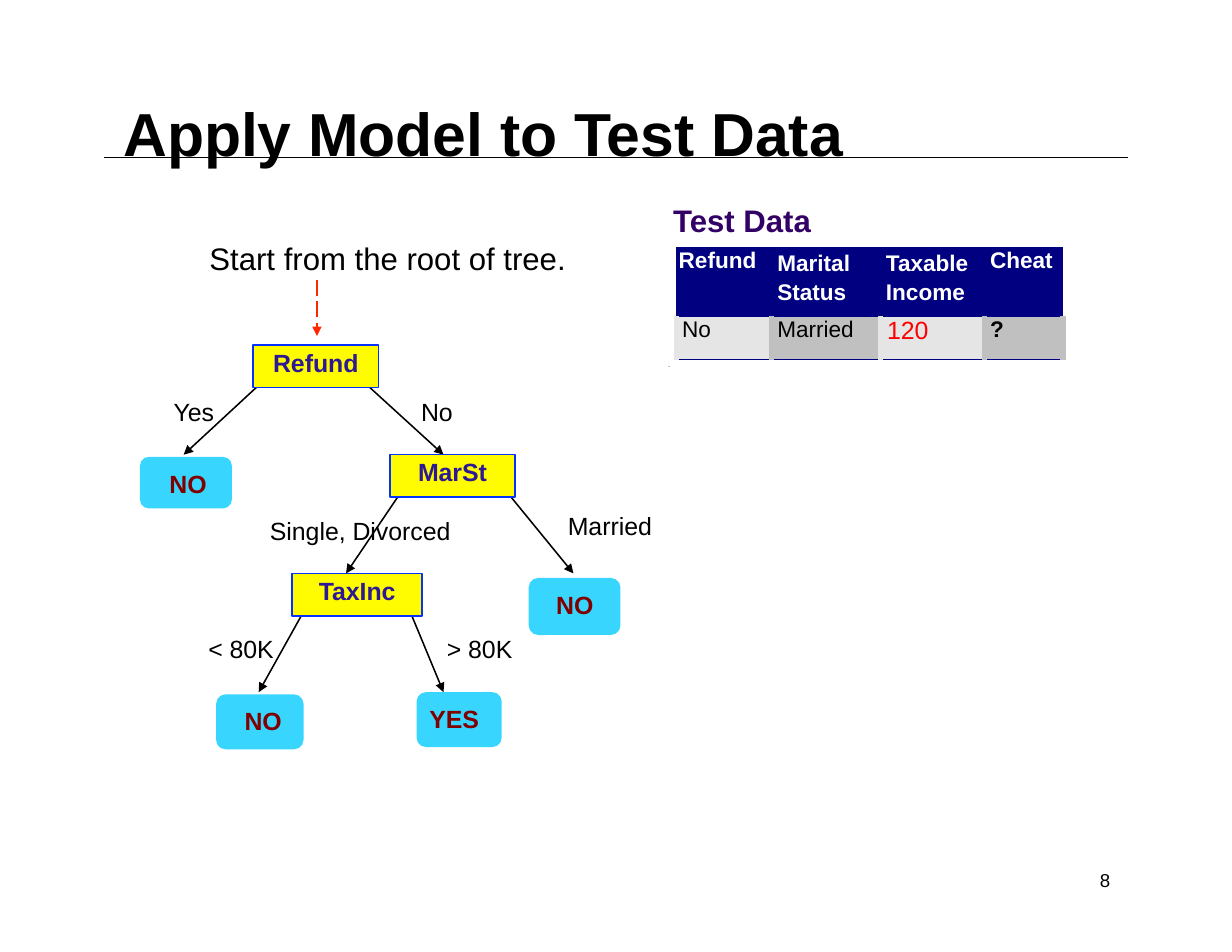
from dataclasses import dataclass

from lxml import etree
from pptx import Presentation
from pptx.dml.color import RGBColor
from pptx.enum.dml import MSO_LINE
from pptx.enum.shapes import MSO_CONNECTOR, MSO_SHAPE
from pptx.enum.text import MSO_ANCHOR, MSO_AUTO_SIZE, PP_ALIGN
from pptx.oxml.ns import qn
from pptx.util import Emu, Inches, Pt

STRAIGHT = MSO_CONNECTOR.STRAIGHT
RECTANGLE, ROUNDED = MSO_SHAPE.RECTANGLE, MSO_SHAPE.ROUNDED_RECTANGLE
LEFT, CENTER = PP_ALIGN.LEFT, PP_ALIGN.CENTER
TOP = MSO_ANCHOR.TOP
FONT = "Arial"
NO_STYLE = "{2D5ABB26-0587-4C30-8999-92F81FD0307C}"
COLORS = {
    "black": "000000", "white": "FFFFFF", "ink": "010000", "navy": "000080",
    "purple": "330066", "node_fill": "FFFB00", "node_line": "0433FF",
    "node_text": "2D1993", "leaf_fill": "38D6FF", "leaf_text": "800000",
    "arrow": "FF2600", "red": "FF0000", "light": "E5E5E5", "gray": "C0C0C0",
}
CELL = Inches(0.1)  # the slide is a grid of 110 columns by 85 rows


@dataclass
class Label:
    text: str
    column: float
    row: float
    columns: float
    rows: float = 2.5
    size: float = 16
    color: str = "black"
    bold: bool = False


@dataclass
class Node:
    text: str
    column: float
    row: float
    columns: float


@dataclass
class Leaf:
    text: str
    column: float
    row: float
    columns: float
    rows: float
    indent: float


@dataclass
class Arrow:
    start: tuple[float, float]
    end: tuple[float, float]
    color: str = "black"
    width: float = 1
    dash: MSO_LINE | None = None


@dataclass
class Field:
    name: str
    value: str
    columns: float
    name_indent: float
    value_indent: float
    size: float = 14.5
    color: str = "ink"
    bold: bool = False


LABELS = [
    Label("Yes", 15.4, 35.2, 3.9), Label("No", 37.5, 35.2, 3.1),
    Label("Married", 50.6, 45.4, 7.8), Label("Single, Divorced", 24, 45.8, 16.5),
    Label("< 80K", 18.5, 56.4, 6.2), Label("> 80K", 39.8, 56.4, 6.2),
    Label("10", 59.6, 32.5, 0.4, 0.4, 1, "ink"),
    Label("Test Data", 60, 17.8, 12.6, 3.1, 20, "purple", True),
    Label("Start from the root of tree.", 18.6, 21.2, 32.1, 3.1, 20),
    Label("8", 98.1, 77.4, 1.5, 1.9, 12),
]
NODES = [Node("Refund", 22.6, 30.8, 11.2), Node("MarSt", 34.8, 40.6, 11.2),
         Node("TaxInc", 26.1, 51.2, 11.6)]
LEAVES = [
    Leaf("YES", 37.2, 61.8, 7.6, 4.9, 0.9), Leaf("NO", 19.3, 62, 7.8, 4.9, 2.3),
    Leaf("NO", 12.5, 40.8, 8.2, 4.6, 2.4), Leaf("NO", 47.2, 51.6, 8.2, 5.1, 2.2),
]
ARROWS = [
    Arrow((36.7, 54.8), (39.6, 61.8)), Arrow((27, 54.8), (23.1, 61.8)),
    Arrow((35.7, 44.1), (30.9, 51.2)), Arrow((45.4, 44.1), (51.2, 51.2)),
    Arrow((32.8, 34.4), (39.6, 40.6)), Arrow((23.1, 34.4), (16.4, 40.6)),
    Arrow((28.3, 25), (28.3, 30), "arrow", 1.25, MSO_LINE.LONG_DASH),
]
FIELDS = [
    Field("Refund", "No", 8.5, 0.2, 0.5),
    Field("Marital Status", "Married", 9.7, 0.5, 0.5),
    Field("Taxable Income", "120", 9.3, 0.5, 0.6, 16, "red"),
    Field("Cheat", "?", 7, 0.5, 0.5, bold=True),
]


def grid(units: float) -> Emu:
    return Emu(round(units * CELL))


def color(name: str) -> RGBColor:
    return RGBColor.from_string(COLORS[name])


def write(frame, text: str, size: float, ink: str, bold: bool,
          align=LEFT, left: float = 0, top: float = 0.2) -> None:
    frame.auto_size = MSO_AUTO_SIZE.NONE
    frame.vertical_anchor = TOP
    frame.margin_left, frame.margin_top = grid(left), grid(top)
    frame.margin_right = frame.margin_bottom = 0
    frame.word_wrap = False
    style(frame, text, size, ink, bold, align)


def style(frame, text: str, size: float, ink: str, bold: bool, align=LEFT) -> None:
    paragraph = frame.paragraphs[0]
    paragraph.text = text
    paragraph.alignment = align
    font = paragraph.font
    font.name, font.size, font.bold = FONT, Pt(size), bold
    font.color.rgb = color(ink)


def add_label(slide, label: Label) -> None:
    box = slide.shapes.add_textbox(grid(label.column), grid(label.row),
                                   grid(label.columns), grid(label.rows))
    write(box.text_frame, label.text, label.size, label.color, label.bold, left=0.1)


def add_node(slide, node: Node) -> None:
    shape = slide.shapes.add_shape(RECTANGLE, grid(node.column), grid(node.row),
                                   grid(node.columns), grid(3.8))
    shape.shadow.inherit = False
    shape.fill.solid()
    shape.fill.fore_color.rgb = color("node_fill")
    shape.line.color.rgb = color("node_line")
    shape.line.width = Pt(1)
    write(shape.text_frame, node.text, 16, "node_text", True, CENTER)


def add_leaf(slide, leaf: Leaf) -> None:
    shape = slide.shapes.add_shape(ROUNDED, grid(leaf.column), grid(leaf.row),
                                   grid(leaf.columns), grid(leaf.rows))
    shape.shadow.inherit = False
    shape.adjustments[0] = 0.17
    shape.fill.solid()
    shape.fill.fore_color.rgb = color("leaf_fill")
    shape.line.fill.background()
    write(shape.text_frame, leaf.text, 16, "leaf_text", True, left=leaf.indent, top=0.8)


def add_line(slide, start: tuple[float, float], end: tuple[float, float],
             ink: str, width: float):
    connector = slide.shapes.add_connector(STRAIGHT, *map(grid, start + end))
    connector.line.color.rgb = color(ink)
    connector.line.width = Pt(width)
    etree.SubElement(connector._element.spPr, qn("a:effectLst"))
    return connector


def add_arrow(slide, arrow: Arrow) -> None:
    line = add_line(slide, arrow.start, arrow.end, arrow.color, arrow.width).line
    if arrow.dash:
        line.dash_style = arrow.dash
    etree.SubElement(line._get_or_add_ln(), qn("a:tailEnd"), type="triangle")


def fill_cell(cell, fill: str, indent: float, borders: dict[str, tuple[str, float]]) -> None:
    cell.margin_left = grid(indent)
    cell.margin_top = cell.margin_right = cell.margin_bottom = 0
    properties = cell._tc.get_or_add_tcPr()
    for side, (ink, width) in borders.items():
        edge = etree.SubElement(properties, qn(f"a:ln{side}"), w=str(Pt(width)))
        solid = etree.SubElement(edge, qn("a:solidFill"))
        etree.SubElement(solid, qn("a:srgbClr"), val=COLORS[ink])
    cell.fill.solid()
    cell.fill.fore_color.rgb = color(fill)


def add_test_table(slide) -> None:
    width = sum(field.columns for field in FIELDS)
    table = slide.shapes.add_table(2, len(FIELDS), grid(60.4), grid(22.1),
                                   grid(width), grid(10)).table
    table._tbl.tblPr.find(qn("a:tableStyleId")).text = NO_STYLE
    table.first_row = table.horz_banding = False
    table.rows[0].height, table.rows[1].height = grid(6.2), grid(3.8)
    thin = ("navy", 0.75)
    last = len(FIELDS) - 1
    for index, field in enumerate(FIELDS):
        table.columns[index].width = grid(field.columns)
        header, value = table.cell(0, index), table.cell(1, index)
        fill_cell(header, "navy", field.name_indent, {"L": thin, "R": thin, "T": thin})
        style(header.text_frame, field.name, 14.5, "white", True)
        if " " in field.name:
            header.text_frame.paragraphs[0].line_spacing = 1.14
        # Each inner edge takes the fill of the cell to its right
        fill, other = ("gray", "light") if index % 2 else ("light", "gray")
        left = (fill, 3.75 if index else 4.25)
        right = (other, 3.75) if index < last else (fill, 4.25)
        fill_cell(value, fill, field.value_indent,
                  {"L": left, "R": right, "T": thin, "B": thin})
        style(value.text_frame, field.value, field.size, field.color, field.bold)


def main() -> None:
    presentation = Presentation()
    presentation.slide_width, presentation.slide_height = grid(110), grid(85)
    slide = presentation.slides.add_slide(presentation.slide_layouts[5])

    # Title and rule
    title = slide.shapes.title
    title.left, title.top, title.width, title.height = map(grid, (10.9, 8, 88.3, 5.7))
    write(title.text_frame, "Apply Model to Test Data", 39, "black", True, left=0.1, top=0.6)
    add_line(slide, (9.3, 14.1), (100.7, 14.1), "black", 0.75)

    # Decision tree
    for arrow in ARROWS:
        add_arrow(slide, arrow)
    for node in NODES:
        add_node(slide, node)
    for leaf in LEAVES:
        add_leaf(slide, leaf)

    # Labels and test record
    for label in LABELS:
        add_label(slide, label)
    add_test_table(slide)
    presentation.save("out.pptx")


if __name__ == "__main__":
    main()
